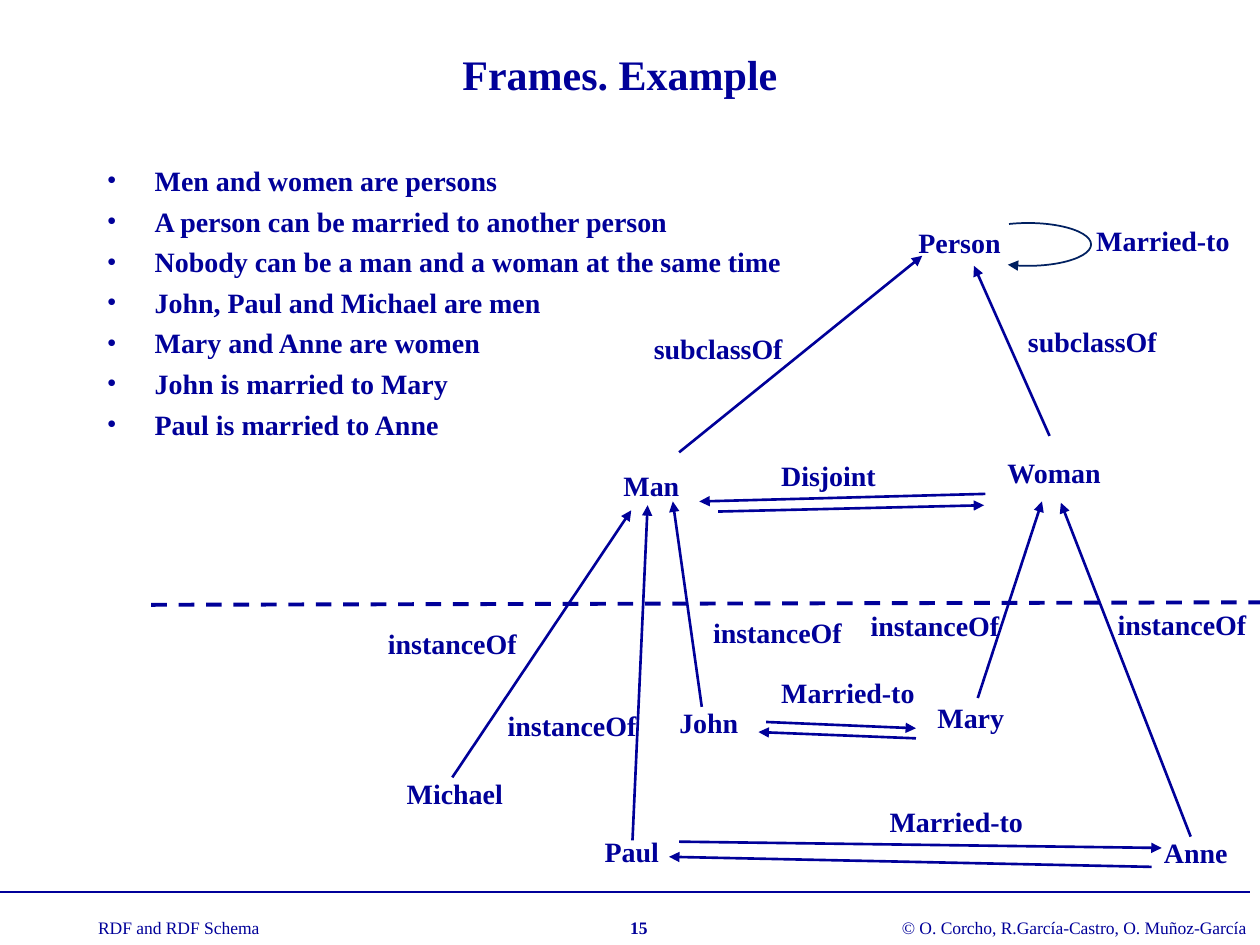
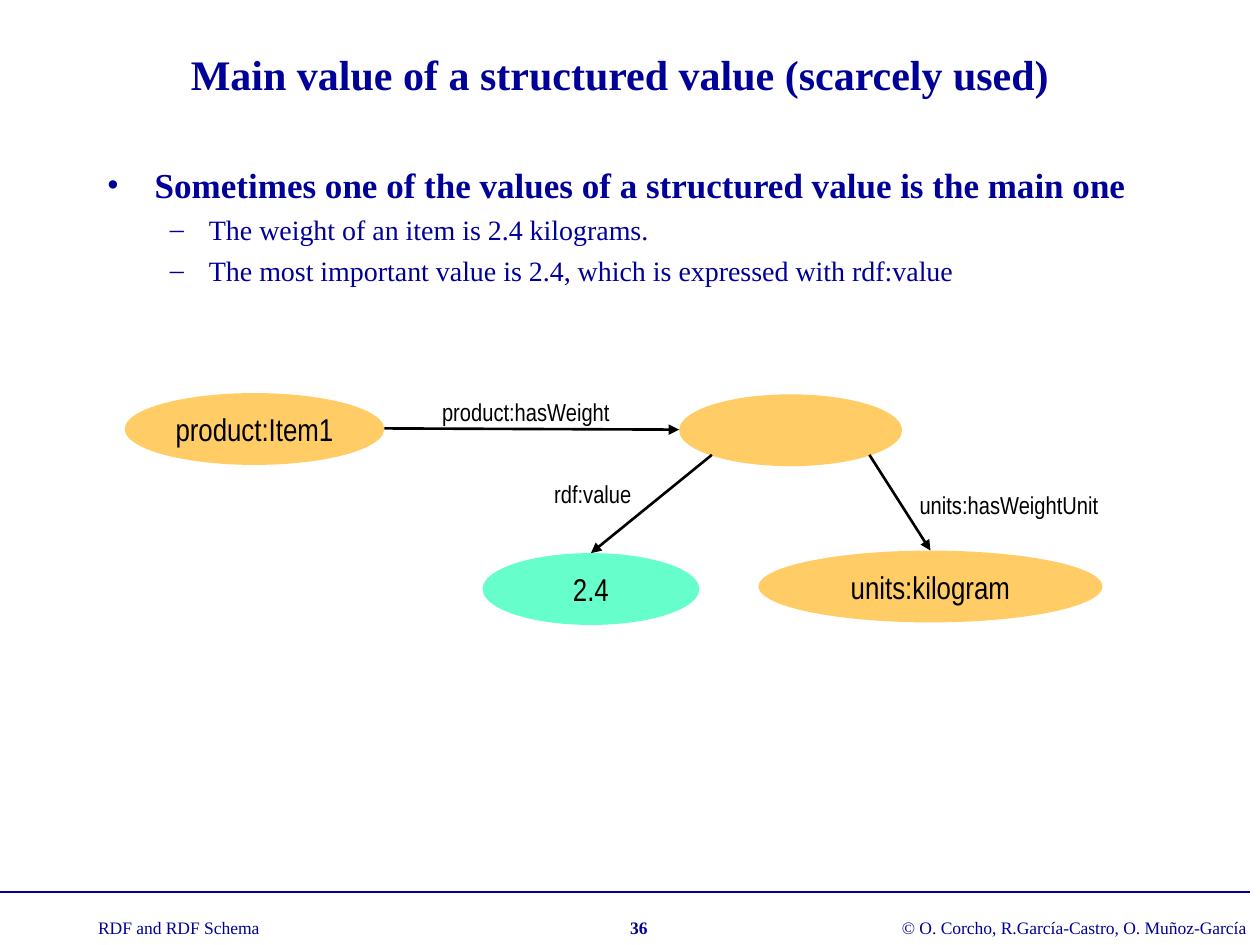
from lxml import etree
from pptx import Presentation
from pptx.dml.color import RGBColor
from pptx.enum.dml import MSO_LINE
from pptx.enum.shapes import MSO_CONNECTOR, MSO_SHAPE
from pptx.enum.text import MSO_ANCHOR, PP_ALIGN
from pptx.oxml.ns import qn
from pptx.util import Inches, Pt

LEFT, CENTER = PP_ALIGN.LEFT, PP_ALIGN.CENTER
TOP, MIDDLE = MSO_ANCHOR.TOP, MSO_ANCHOR.MIDDLE
STRAIGHT, DASH = MSO_CONNECTOR.STRAIGHT, MSO_LINE.DASH
ELLIPSE, ARC = MSO_SHAPE.OVAL, MSO_SHAPE.ARC

color = RGBColor.from_string
NAVY, DARK_BLUE, BLACK = "000099", "002060", "000000"
ORANGE, MINT = "FFCC66", "66FFCC"
SERIF, NARROW = "Times New Roman", "Arial Narrow"

TITLE = {"name": SERIF, "size": Pt(24), "bold": True}
FOOTER = {"name": SERIF, "size": Pt(10), "bold": False}
PAGE_NUMBER = {**FOOTER, "bold": True}
LABEL = {"name": SERIF, "size": Pt(16), "bold": True}
HEADING = {**LABEL, "size": Pt(20)}
DETAIL = {**LABEL, "bold": False}
NODE = {"name": NARROW, "size": Pt(18)}
PROPERTY = {"name": NARROW, "size": Pt(14)}

# Bullet sign, left margin and hanging indent by level
BULLETS = [("•", 0.38, -0.38), ("–", 0.81, -0.31)]


def write(shape, text, font, ink=NAVY, align=LEFT, anchor=TOP, wrap=False):
    """Fill a shape or text box with one formatted paragraph."""
    frame = shape.text_frame
    frame.word_wrap, frame.vertical_anchor = wrap, anchor
    para = frame.paragraphs[0]
    para.alignment = align
    span = para.add_run()
    span.text = text
    for key, value in font.items():
        setattr(span.font, key, value)
    span.font.color.rgb = color(ink)


def draw_line(page, points, ink=NAVY, width=1.5, arrow=True):
    """Draw a straight line, with an arrowhead at its end if wanted."""
    line = page.shapes.add_connector(STRAIGHT, *map(Inches, points))
    line.line.color.rgb = color(ink)
    line.line.width = Pt(width)
    if arrow:
        etree.SubElement(line.line._get_or_add_ln(), qn("a:tailEnd"), type="triangle")
    etree.SubElement(line._element.spPr, qn("a:effectLst"))
    return line


deck = Presentation()
deck.slide_width, deck.slide_height = Inches(10), Inches(7.5)

contents = [
    ("Frames. Example", "15", [
        (0, "Men and women are persons", LABEL),
        (0, "A person can be married to another person", LABEL),
        (0, "Nobody can be a man and a woman at the same time", LABEL),
        (0, "John, Paul and Michael are men", LABEL),
        (0, "Mary and Anne are women", LABEL),
        (0, "John is married to Mary", LABEL),
        (0, "Paul is married to Anne", LABEL),
    ]),
    ("Main value of a structured value (scarcely used)", "36", [
        (0, "Sometimes one of the values of a structured value is the main one", HEADING),
        (1, "The weight of an item is 2.4 kilograms.", DETAIL),
        (1, "The most important value is 2.4, which is expressed with rdf:value", DETAIL),
    ]),
]

# Footer, title and bullet list of each slide
pages = []
for title, number, bullets in contents:
    page = deck.slides.add_slide(deck.slide_layouts[6])
    pages.append(page)
    draw_line(page, (0, 7.08, 9.92, 7.08), width=1, arrow=False)
    for left, width, text, font, align in [
        (0.68, 1.48, "RDF and RDF Schema", FOOTER, LEFT),
        (4.66, 0.82, number, PAGE_NUMBER, CENTER),
        (7.06, 2.94, "© O. Corcho, R.García-Castro, O. Muñoz-García", FOOTER, LEFT),
    ]:
        box = page.shapes.add_textbox(Inches(left), Inches(7.23), Inches(width), Inches(0.27))
        write(box, text, font, align=align)
    box = page.shapes.add_textbox(Inches(0.67), Inches(0.17), Inches(8.5), Inches(0.83))
    write(box, title, TITLE, align=CENTER, anchor=MIDDLE, wrap=True)

    box = page.shapes.add_textbox(Inches(0.75), Inches(1.25), Inches(8.5), Inches(5.67))
    frame = box.text_frame
    frame.word_wrap = True
    for index, (level, text, font) in enumerate(bullets):
        para = frame.add_paragraph() if index else frame.paragraphs[0]
        para.level = level
        para.space_before = Pt(4 if index else 0)
        sign, margin, indent = BULLETS[level]
        props = para._p.get_or_add_pPr()
        props.set("marL", str(Inches(margin)))
        props.set("indent", str(Inches(indent)))
        bullet_color = etree.SubElement(props, qn("a:buClr"))
        etree.SubElement(bullet_color, qn("a:srgbClr"), val=NAVY)
        etree.SubElement(props, qn("a:buFont"), typeface=SERIF)
        etree.SubElement(props, qn("a:buChar"), char=sign)
        span = para.add_run()
        span.text = text
        for key, value in font.items():
            setattr(span.font, key, value)
        span.font.color.rgb = color(NAVY)

frames_page, value_page = pages

# Frames: names of classes, instances and relations
for text, left, top, width in [
    ("Person", 7.19, 1.74, 0.85),
    ("Man", 4.85, 3.67, 0.64),
    ("Woman", 7.89, 3.56, 0.95),
    ("Michael", 3.13, 6.11, 0.96),
    ("Paul", 4.7, 6.57, 0.63),
    ("John", 5.29, 5.55, 0.67),
    ("Mary", 7.34, 5.51, 0.73),
    ("Anne", 9.09, 6.58, 0.8),
    ("Disjoint", 6.1, 3.59, 0.95),
    ("Married-to", 8.6, 1.72, 1.26),
    ("Married-to", 6.1, 5.31, 1.26),
    ("Married-to", 6.96, 6.33, 1.26),
    ("subclassOf", 5.09, 2.58, 1.22),
    ("subclassOf", 8.06, 2.52, 1.22),
    ("instanceOf", 2.98, 4.92, 1.22),
    ("instanceOf", 3.93, 5.57, 1.22),
    ("instanceOf", 5.56, 4.83, 1.22),
    ("instanceOf", 6.81, 4.78, 1.22),
    ("instanceOf", 8.77, 4.77, 1.22),
]:
    box = frames_page.shapes.add_textbox(Inches(left), Inches(top), Inches(width), Inches(0.37))
    write(box, text, LABEL, align=CENTER, anchor=MIDDLE)

# Frames: border between classes and instances
border = draw_line(frames_page, (1.2, 4.8, 10.08, 4.78), width=2.25, arrow=False)
border.line.dash_style = DASH

# Frames: relation arrows
for points in [
    (5.39, 3.59, 7.32, 2.03),  # Man to Person
    (8.33, 3.46, 7.73, 2.11),  # Woman to Person
    (5.7, 4.06, 7.81, 4.01),   # Man to Woman
    (7.82, 3.92, 5.55, 3.98),  # Woman to Man
    (3.59, 6.17, 5.01, 4.05),  # Michael to Man
    (5.02, 6.67, 5.14, 4.01),  # Paul to Man
    (5.57, 5.61, 5.34, 3.98),  # John to Man
    (7.76, 5.54, 8.27, 3.98),  # Mary to Woman
    (9.45, 6.64, 8.42, 3.99),  # Anne to Woman
    (6.08, 5.73, 7.27, 5.78),  # John to Mary
    (7.27, 5.86, 6.02, 5.81),  # Mary to John
    (5.39, 6.68, 9.22, 6.73),  # Paul to Anne
    (9.14, 6.88, 5.31, 6.8),   # Anne to Paul
]:
    draw_line(frames_page, points)

# Frames: loop from Person to itself; arc angles count in units of 1/0.6 degree
loop = frames_page.shapes.add_shape(ARC, Inches(7.66), Inches(1.77), Inches(1), Inches(0.34))
loop.shadow.inherit = False
loop.fill.background()
loop.line.color.rgb = color(DARK_BLUE)
loop.line.width = Pt(1)
for index, degrees in enumerate((227, 135)):
    loop.adjustments[index] = degrees * 0.6
etree.SubElement(loop.line._get_or_add_ln(), qn("a:tailEnd"), type="triangle")

# Structured value: nodes
nodes = []
for text, left, top, width, fill in [
    ("product:Item1", 0.99, 3.12, 2.06, ORANGE),
    ("", 5.39, 3.13, 1.77, ORANGE),
    ("2.4", 3.83, 4.39, 1.72, MINT),
    ("units:kilogram", 6.02, 4.37, 2.73, ORANGE),
]:
    node = value_page.shapes.add_shape(
        ELLIPSE, Inches(left), Inches(top), Inches(width), Inches(0.57))
    node.shadow.inherit = False
    node.fill.solid()
    node.fill.fore_color.rgb = color(fill)
    node.line.fill.background()
    if text:
        write(node, text, NODE, BLACK, CENTER, MIDDLE)
    nodes.append(node)
item, weight, number, unit = nodes

# Structured value: properties, the lower two joined to the tops of their nodes
draw_line(value_page, (3.05, 3.4, 5.39, 3.41), BLACK)
draw_line(value_page, (5.65, 3.61, 4.69, 4.39), BLACK).end_connect(number, 0)
draw_line(value_page, (6.9, 3.61, 7.38, 4.37), BLACK).end_connect(unit, 0)
for text, left, top, width in [
    ("product:hasWeight", 3.41, 3.1, 1.59),
    ("rdf:value", 4.3, 3.75, 0.84),
    ("units:hasWeightUnit", 7.2, 3.84, 1.7),
]:
    box = value_page.shapes.add_textbox(Inches(left), Inches(top), Inches(width), Inches(0.34))
    write(box, text, PROPERTY, BLACK, wrap=True)

deck.save("out.pptx")
